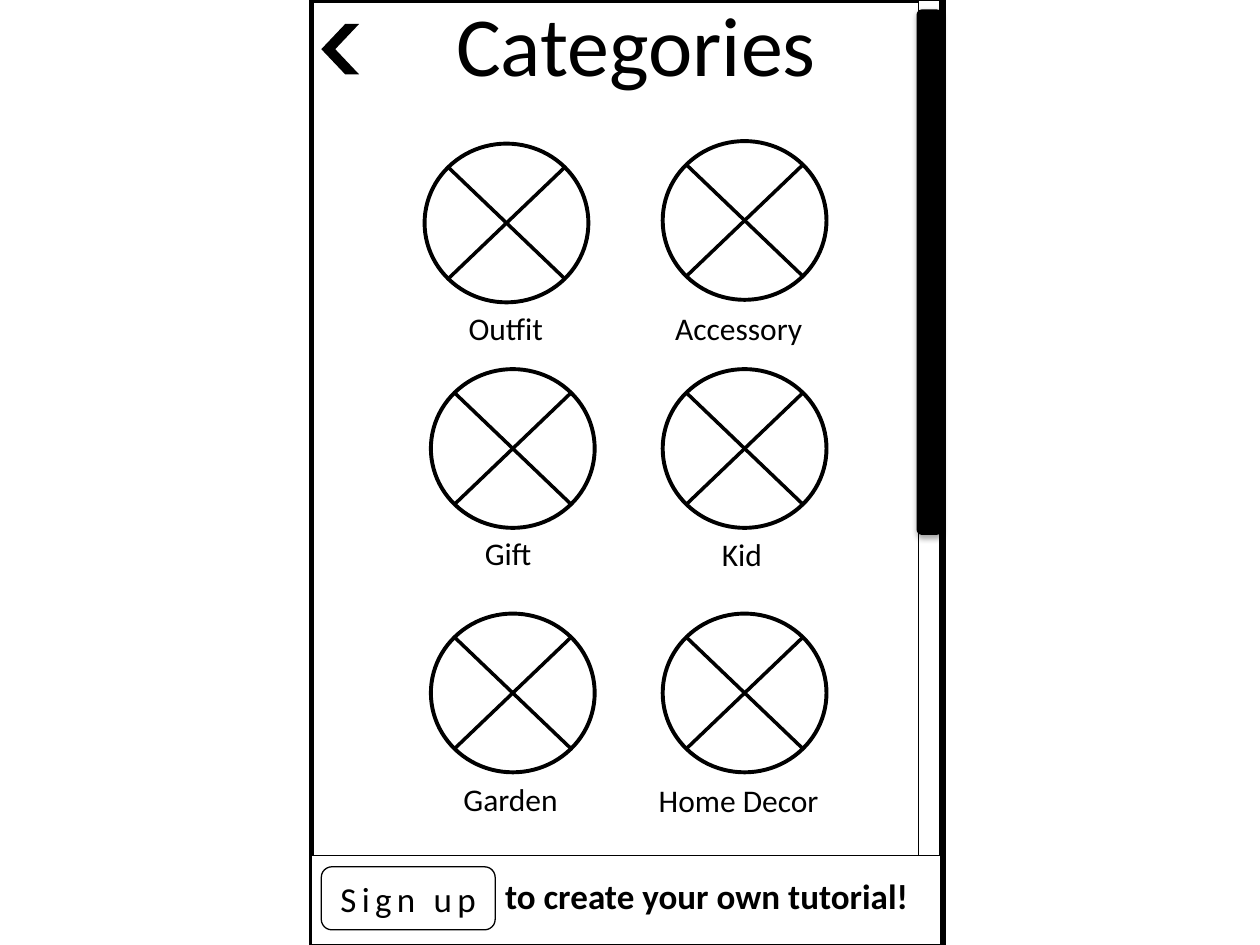
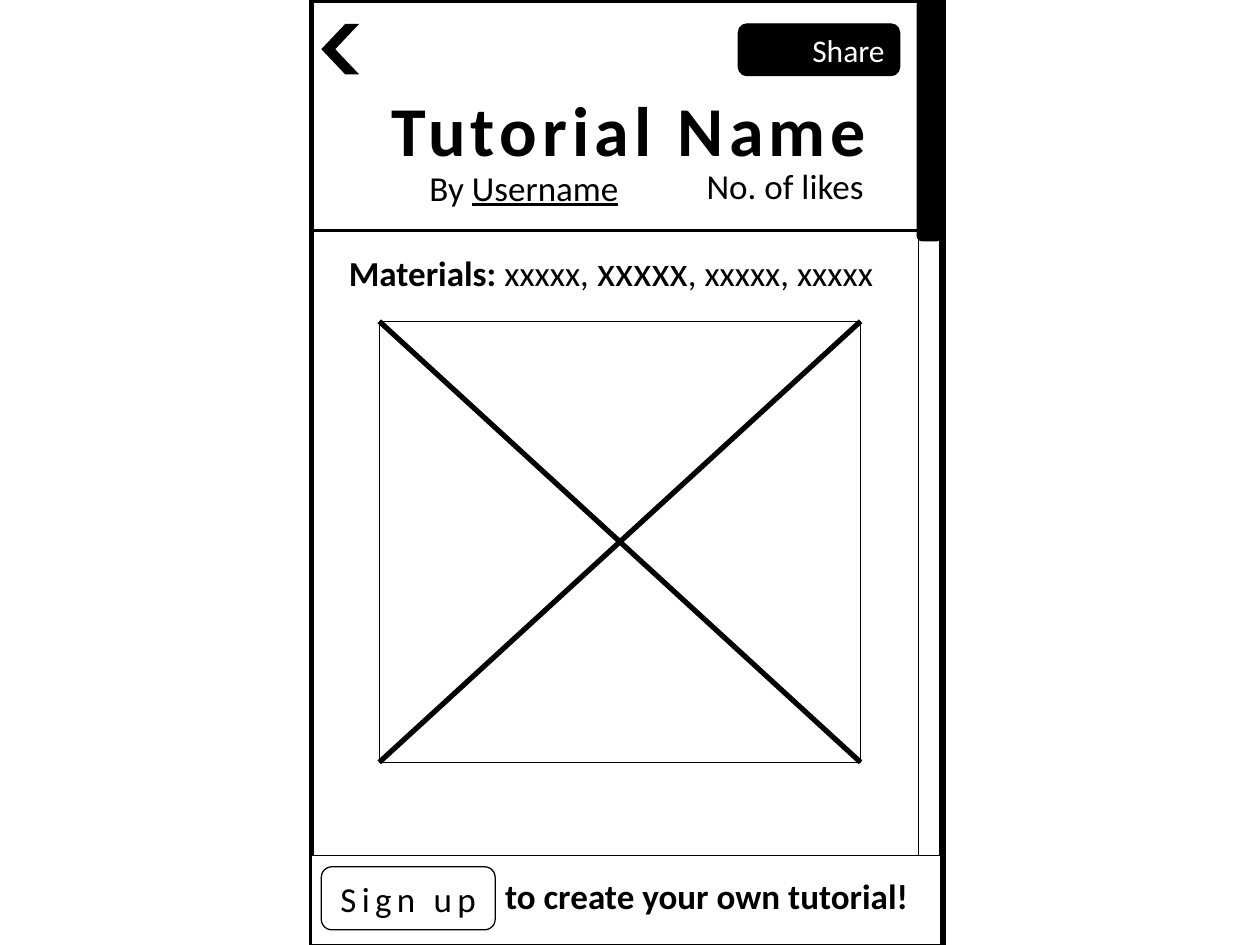
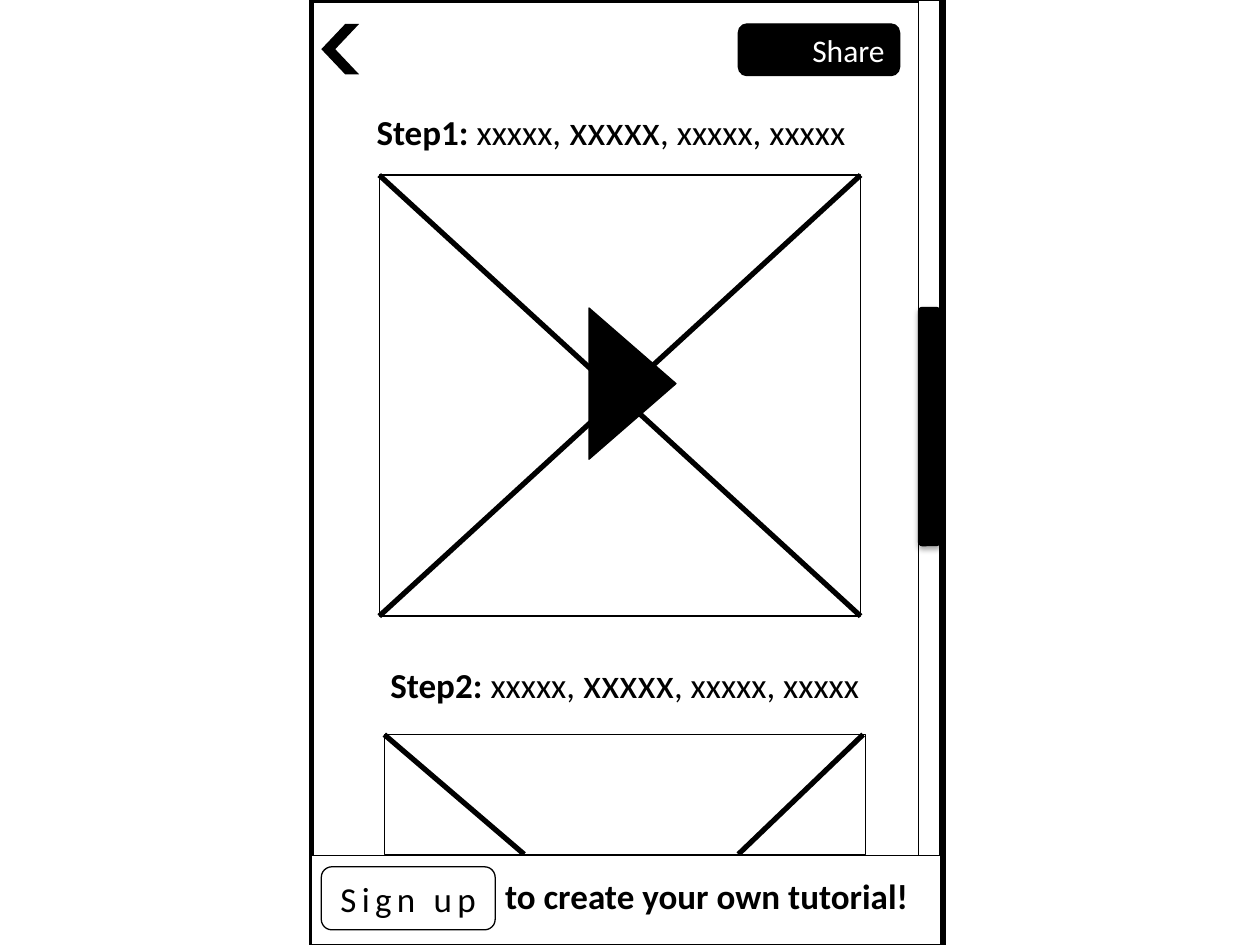
from collections import namedtuple

from lxml import etree
from pptx import Presentation
from pptx import util as u
from pptx.dml.color import RGBColor
from pptx.enum import shapes, text
from pptx.oxml.ns import qn

COLORS = {"ink": "000000", "paper": "FFFFFF"}
FONT = "Calibri"
TITLE_ONLY, BLANK = 5, 6
PRESET = shapes.MSO_SHAPE
ALIGN = text.PP_ALIGN

Box = namedtuple("Box", "left top width height")
Span = namedtuple(
    "Span", "words size bold underline spacing color",
    defaults=(18, False, False, 0, "ink"))

PHONE = Box(2.47, 0, 5.02, 7.5)
TRACK = Box(7.29, 0, 0.17, 7.5)
FOOTER = Box(2.47, 6.79, 5, 0.71)
BACK = Box(2.55, 0.19, 0.3, 0.4)
SHARE = Box(5.86, 0.19, 1.28, 0.41)
CIRCLE = (1.3, 1.26)
CIRCLE_INSET = 0.19
CATEGORIES = [
    ("Outfit", (3.37, 1.14), Box(3.62, 2.4, 0.88, 0.4)),
    ("Accessory", (5.26, 1.12), Box(5.26, 2.4, 1.7, 0.4)),
    ("Gift", (3.42, 2.93), Box(3.75, 4.19, 0.7, 0.4)),
    ("Kid", (5.26, 2.93), Box(5.63, 4.2, 0.59, 0.4)),
    ("Garden", (3.42, 4.87), Box(3.58, 6.14, 1.09, 0.4)),
    ("Home Decor", (5.26, 4.87), Box(5.13, 6.15, 1.64, 0.4)),
]


def rgb(name):
    return RGBColor.from_string(COLORS[name])


def inches(values):
    return [u.Inches(value) for value in values]


def write(shape, spans, align=ALIGN.LEFT, anchor=text.MSO_ANCHOR.TOP, wrap=True):
    frame = shape.text_frame
    frame.word_wrap = wrap
    frame.vertical_anchor = anchor
    para = frame.paragraphs[0]
    para.alignment = align
    for item in spans:
        span = para.add_run()
        span.text = item.words
        font = span.font
        font.name = FONT
        font.size = u.Pt(item.size)
        font.bold = item.bold
        font.underline = item.underline
        font.color.rgb = rgb(item.color)
        if item.spacing:
            span._r.get_or_add_rPr().set("spc", str(item.spacing * 100))


def add_text(page, box, *spans, wrap=True):
    label = page.shapes.add_textbox(*inches(box))
    write(label, spans, wrap=wrap)
    label.text_frame.auto_size = text.MSO_AUTO_SIZE.SHAPE_TO_FIT_TEXT


def add_title(page, box, span):
    title = page.shapes.title
    title.left, title.top, title.width, title.height = inches(box)
    write(title, [span])
    title.text_frame.auto_size = text.MSO_AUTO_SIZE.NONE
    title.element.getparent().append(title.element)


def add_shape(page, preset, box, fill="paper", weight=0.75):
    shape = page.shapes.add_shape(preset, *inches(box))
    shape.shadow.inherit = False
    if fill:
        shape.fill.solid()
        shape.fill.fore_color.rgb = rgb(fill)
    else:
        shape.fill.background()
    if weight:
        shape.line.color.rgb = rgb("ink")
        shape.line.width = u.Pt(weight)
    else:
        shape.line.fill.background()
    return shape


def add_line(page, start, end, weight):
    line = page.shapes.add_connector(
        shapes.MSO_CONNECTOR.STRAIGHT, *inches(start + end))
    line.line.color.rgb = rgb("ink")
    line.line.width = u.Pt(weight)
    etree.SubElement(line.element.spPr, qn("a:effectLst"))


def add_cross(page, box, weight):
    right, bottom = box.left + box.width, box.top + box.height
    add_line(page, (box.left, box.top), (right, bottom), weight)
    add_line(page, (box.left, bottom), (right, box.top), weight)


def add_soft_shadow(shape):
    effects = shape.element.spPr.find(qn("a:effectLst"))
    shadow = etree.SubElement(
        effects, qn("a:outerShdw"), blurRad="40000", dist="23000",
        dir="5400000", rotWithShape="0")
    color = etree.SubElement(shadow, qn("a:srgbClr"), val=COLORS["ink"])
    etree.SubElement(color, qn("a:alpha"), val="35000")


def add_scrollbar(page, track, offset, length, weight, shadow):
    add_shape(page, PRESET.RECTANGLE, track)
    thumb_box = track._replace(top=track.top + offset, height=length)
    thumb = add_shape(page, PRESET.ROUNDED_RECTANGLE, thumb_box, "ink", weight)
    if shadow:
        add_soft_shadow(thumb)


def add_back_button(page, box):
    chevron = add_shape(page, PRESET.CHEVRON, box, "ink", 0)
    chevron.adjustments[0] = 0.632
    chevron.rotation = 180


def add_share_button(page, box):
    button = add_shape(page, PRESET.ROUNDED_RECTANGLE, box, "ink")
    write(button, [Span("Share", color="paper")], ALIGN.RIGHT,
          text.MSO_ANCHOR.MIDDLE)


def add_footer(page, box):
    add_shape(page, PRESET.RECTANGLE, box)
    add_text(page, Box(box.left + 1.44, box.top + 0.1, 4.02, 0.44),
             Span("to create your own tutorial!", 20, True))
    button = add_shape(page, PRESET.ROUNDED_RECTANGLE,
                       Box(box.left + 0.08, box.top + 0.09, 1.38, 0.5))
    write(button, [Span("Sign up", 20, spacing=3)], ALIGN.CENTER,
          text.MSO_ANCHOR.MIDDLE)


def add_category(page, name, corner, label):
    circle = Box(*corner, *CIRCLE)
    add_shape(page, PRESET.OVAL, circle, None, 2.25)
    add_cross(page, Box(circle.left + CIRCLE_INSET, circle.top + CIRCLE_INSET,
                        circle.width - 2 * CIRCLE_INSET,
                        circle.height - 2 * CIRCLE_INSET), 2)
    add_text(page, label, Span(name))


def add_image_frame(page, box):
    add_shape(page, PRESET.RECTANGLE, box)
    add_cross(page, box, 3)


def add_video_frame(page, box):
    add_image_frame(page, box)
    play = add_shape(page, PRESET.ISOSCELES_TRIANGLE,
                     Box(box.left + 1.41, box.top + 1.31, 1.2, 0.69), "ink")
    play.rotation = 90


def add_cut_frame(page, box):
    bottom, right = box.top + box.height, box.left + box.width
    add_shape(page, PRESET.RECTANGLE, box)
    add_line(page, (right - 1.01, bottom), (right - 0.02, box.top), 3)
    add_line(page, (box.left, box.top), (box.left + 1.11, bottom), 3)


def add_item_list(page, box, heading):
    add_text(page, box, Span(heading + ": ", 20, True), Span("xxxxx, ", 20),
             Span("xxxxx", 24), Span(", xxxxx, xxxxx", 20), wrap=False)


def start_page(deck, layout):
    page = deck.slides.add_slide(deck.slide_layouts[layout])
    add_shape(page, PRESET.RECTANGLE, PHONE, weight=3)
    return page


def finish_page(page):
    add_back_button(page, BACK)
    add_footer(page, FOOTER)


def build_categories(deck):
    page = start_page(deck, TITLE_ONLY)
    add_scrollbar(page, TRACK, 0.09, 4.14, 2.25, True)
    for name, corner, label in CATEGORIES:
        add_category(page, name, corner, label)
    finish_page(page)
    add_title(page, Box(3.52, -0.11, 4.53, 0.91), Span("Categories", 48))


def build_tutorial(deck):
    page = start_page(deck, TITLE_ONLY)
    add_line(page, (2.45, 1.83), (7.47, 1.83), 2)
    add_scrollbar(page, TRACK, 0.01, 1.89, 2.25, False)
    add_title(page, Box(3.01, 0.64, 4.16, 0.77),
              Span("Tutorial Name", 40, True, spacing=3))
    add_text(page, Box(3.31, 1.27, 1.72, 0.44), Span("By ", 20),
             Span("Username", 20, underline=True), wrap=False)
    add_text(page, Box(5.51, 1.26, 1.47, 0.44), Span("No. of likes", 20),
             wrap=False)
    add_item_list(page, Box(2.67, 1.89, 4.4, 0.5), "Materials")
    add_image_frame(page, Box(3.01, 2.55, 3.82, 3.5))
    add_share_button(page, SHARE)
    finish_page(page)


def build_steps(deck):
    page = start_page(deck, BLANK)
    add_scrollbar(page, TRACK, 2.44, 1.89, 0.75, True)
    add_video_frame(page, Box(3.01, 1.39, 3.82, 3.5))
    add_item_list(page, Box(2.89, 0.77, 3.96, 0.5), "Step1")
    add_item_list(page, Box(3, 5.16, 3.96, 0.5), "Step2")
    add_cut_frame(page, Box(3.05, 5.83, 3.82, 0.95))
    add_share_button(page, SHARE)
    finish_page(page)


def main():
    deck = Presentation()
    deck.slide_width, deck.slide_height = inches((10, 7.5))
    build_categories(deck)
    build_tutorial(deck)
    build_steps(deck)
    deck.save("out.pptx")


if __name__ == "__main__":
    main()
